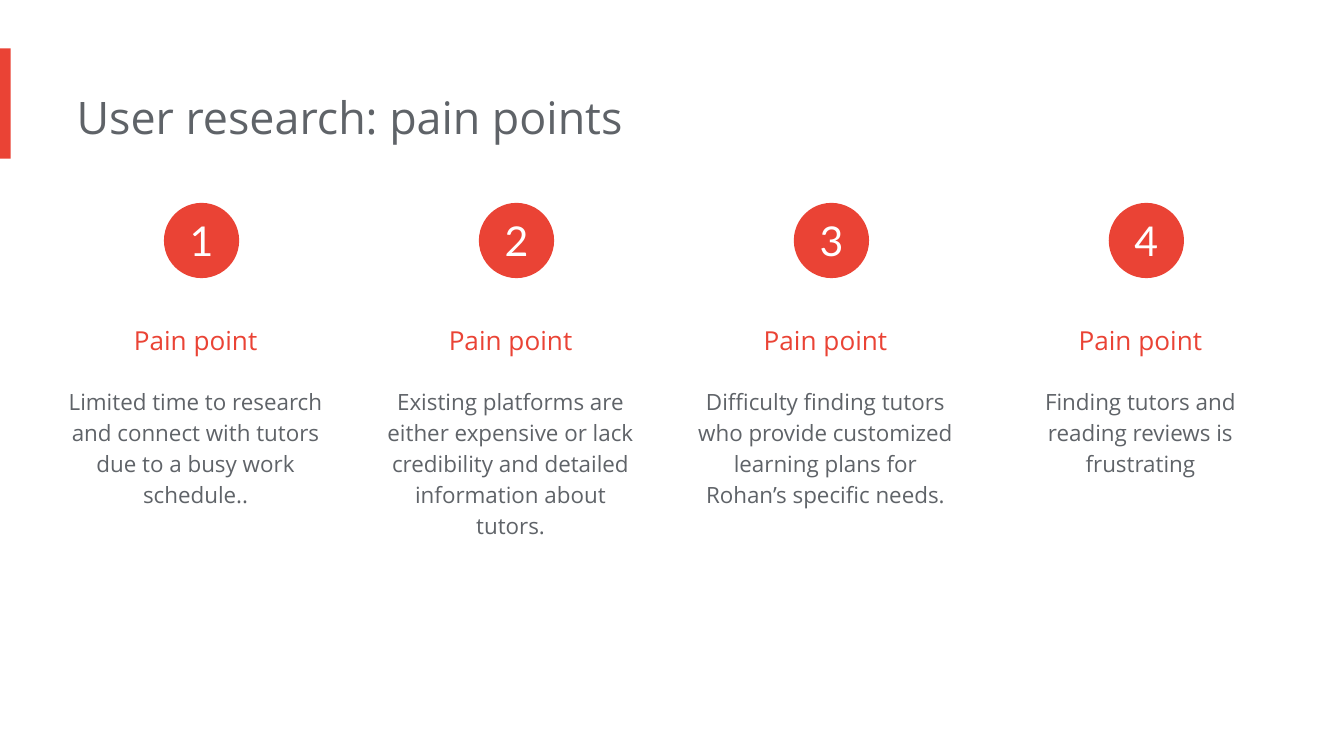
from pptx import Presentation
from pptx.dml.color import RGBColor
from pptx.enum.shapes import MSO_SHAPE as Shape
from pptx.enum.text import MSO_ANCHOR as Anchor, MSO_AUTO_SIZE as AutoSize, PP_ALIGN as Align
from pptx.util import Inches, Pt

COLORS = {"accent": "EA4335", "text": "5F6368", "white": "FFFFFF"}
FIRST_LEFT, LAST_LEFT, COLUMN_WIDTH = 0.48, 7.51, 2.05
CIRCLE_OFFSET, CIRCLE_SIZE = 0.74, 0.56

# Each pain point with the height of its text box
PAIN_POINTS = [
    ("Limited time to research and connect with tutors due to a busy work schedule..", 1.1),
    ("Existing platforms are either expensive or lack credibility and detailed "
     "information about tutors.", 1.33),
    ("Difficulty finding tutors who provide customized learning plans for "
     "Rohan’s specific needs.", 1.1),
    ("Finding tutors and reading reviews is frustrating", 1.1),
]
COLUMN_STEP = (LAST_LEFT - FIRST_LEFT) / (len(PAIN_POINTS) - 1)


def write_text(frame, text, *, size, color="text", font="Open Sans",
               align=Align.LEFT, spacing=1.0, anchor=Anchor.TOP, margins=(0, 0.1, 0.1, 0.1)):
    """Fill a text frame with one formatted paragraph."""
    frame.word_wrap = True
    frame.vertical_anchor = anchor
    (frame.margin_left, frame.margin_top,
     frame.margin_right, frame.margin_bottom) = map(Inches, margins)
    para = frame.paragraphs[0]
    para.alignment = align
    para.line_spacing = spacing
    span = para.add_run()
    span.text = text
    span.font.name = font
    span.font.size = Pt(size)
    span.font.color.rgb = RGBColor.from_string(COLORS[color])


class SlideBuilder:
    def __init__(self, slide, colors):
        self.slide = slide
        self.colors = colors

    def shape(self, kind, *bounds, fill="accent"):
        shape = self.slide.shapes.add_shape(kind, *map(Inches, bounds))
        shape.shadow.inherit = False
        shape.fill.solid()
        shape.fill.fore_color.rgb = RGBColor.from_string(self.colors[fill])
        shape.line.fill.background()
        return shape

    def text(self, text, *bounds, **style):
        box = self.slide.shapes.add_textbox(*map(Inches, bounds))
        write_text(box.text_frame, text, **style)
        box.text_frame.auto_size = AutoSize.SHAPE_TO_FIT_TEXT

    def number(self, number, left, top):
        circle = self.shape(Shape.OVAL, left, top, CIRCLE_SIZE, CIRCLE_SIZE)
        write_text(circle.text_frame, str(number), size=22, color="white", font="Lato",
                   align=Align.CENTER, anchor=Anchor.MIDDLE, margins=(0, 0, 0, 0))


def main():
    # Widescreen page, 16:9
    deck = Presentation()
    deck.slide_width = Inches(10)
    deck.slide_height = Inches(10 * 9 / 16)
    page = SlideBuilder(deck.slides.add_slide(deck.slide_layouts[6]), COLORS)

    # Accent bar and title
    page.shape(Shape.RECTANGLE, 0, 0.36, 0.08, 0.82)
    page.text("User research: pain points", 0.57, 0.57, 6.73, 0.61, size=24)

    # Headings and descriptions, one column per pain point
    lefts = [FIRST_LEFT + index * COLUMN_STEP for index in range(len(PAIN_POINTS))]
    for left, (description, height) in zip(lefts, PAIN_POINTS):
        page.text("Pain point", left, 2.2, COLUMN_WIDTH, 0.44, size=14,
                  color="accent", align=Align.CENTER, spacing=1.5)
        page.text(description, left, 2.76, COLUMN_WIDTH, height, size=12,
                  align=Align.CENTER, spacing=1.15)

    # Numbered circles
    for number, left in enumerate(lefts, start=1):
        page.number(number, left + CIRCLE_OFFSET, 1.51)

    deck.save("out.pptx")


if __name__ == "__main__":
    main()
